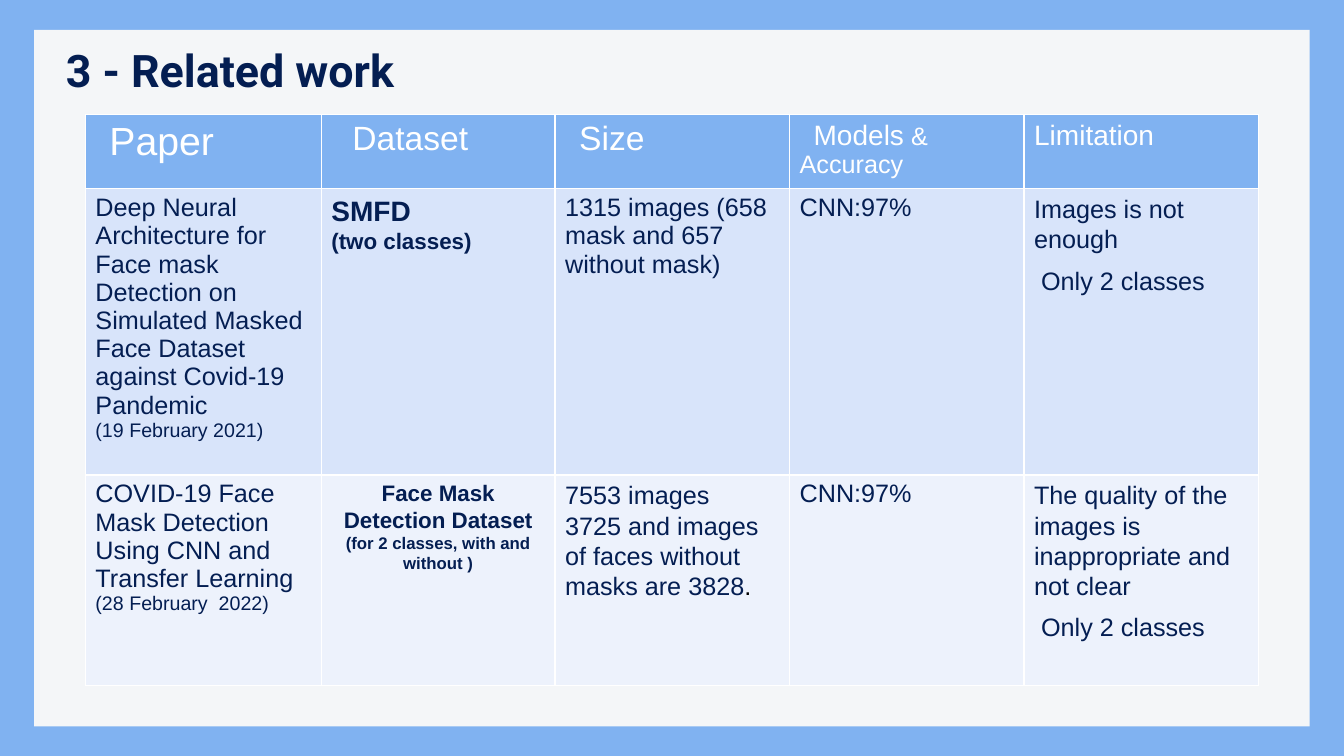
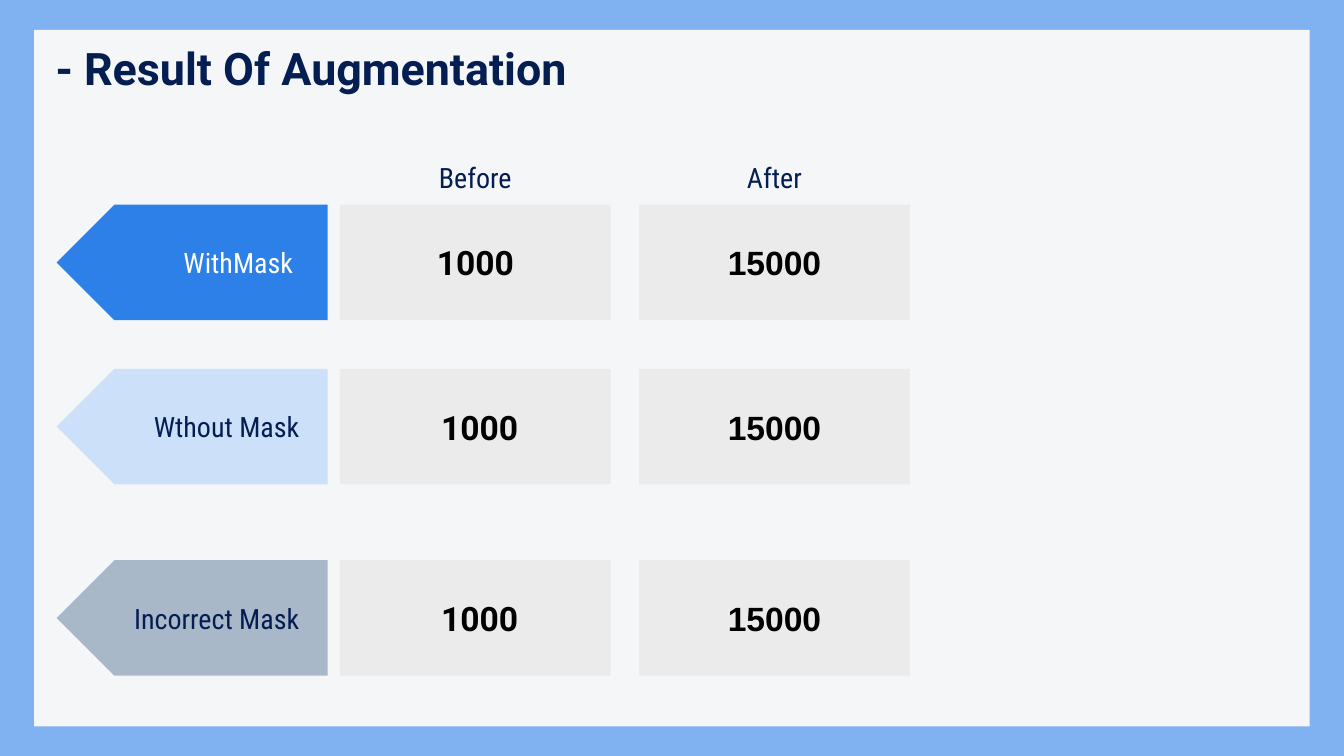
from dataclasses import dataclass
from typing import Optional

from lxml import etree
from pptx import Presentation
from pptx.dml.color import RGBColor
from pptx.enum.shapes import MSO_SHAPE as SHAPE
from pptx.enum.text import MSO_ANCHOR as ANCHOR, PP_ALIGN as ALIGN
from pptx.oxml.ns import qn
from pptx.util import Pt

SKY = RGBColor(0x80, 0xB2, 0xF1)
PANEL = RGBColor(0xF4, 0xF6, 0xF8)
NAVY = RGBColor(0x04, 0x1E, 0x52)
WHITE = RGBColor(0xFF, 0xFF, 0xFF)
BLACK = RGBColor(0x00, 0x00, 0x00)
BLUE = RGBColor(0x2D, 0x80, 0xE8)
PALE_BLUE = RGBColor(0xCC, 0xE0, 0xF9)
SLATE = RGBColor(0xA9, 0xB8, 0xC8)
GREY = RGBColor(0xEB, 0xEB, 0xEB)
ROW_FILLS = (SKY, RGBColor(0xD8, 0xE4, 0xFA), RGBColor(0xED, 0xF2, 0xFC))

BODY_FONT = "Arial"
TITLE_FONT = "Roboto"
LABEL_FONT = "Roboto Condensed"
INSET = 7.2

COL_WIDTHS = (168.5, 167, 167.5, 167.5, 167.5)
ROW_HEIGHTS = (50, 204.5, 150.5)

BOX_W, BOX_H = 193.5, 82.5
ARROW_LEFT, BEFORE_LEFT, AFTER_LEFT = 40.5, 242.8, 456.5


@dataclass
class Para:
    """A paragraph; tail is an optional (text, size, colour) run at its end."""
    text: str
    size: float = 18
    bold: bool = False
    color: RGBColor = NAVY
    font: str = BODY_FONT
    align: ALIGN = ALIGN.LEFT
    spacing: float = 1.0
    after: float = 0
    indent: float = 0
    tail: Optional[tuple] = None


def header(text, size, indent=0, tail=None):
    return [Para(text, size, color=WHITE, indent=indent, tail=tail)]


def limitation(text, indent=0):
    return Para(text, spacing=1.07, after=8, indent=indent)


def centered(text, size):
    return Para(text, size, bold=True, align=ALIGN.CENTER, spacing=1.07)


PAPERS = [
    [
        header("Paper", 28, 10),
        header("Dataset", 24, 15),
        header("Size", 24, 10),
        header("Models", 20, 10, (" & Accuracy", 18, WHITE)),
        header("Limitation", 20),
    ],
    [
        [Para("Deep Neural Architecture for Face mask Detection on Simulated "
              "Masked Face Dataset against Covid-19 Pandemic"),
         Para("(19 February 2021)", 14)],
        [Para("SMFD", 20, bold=True, spacing=1.07),
         Para("(two classes)", 16, bold=True, spacing=1.07)],
        [Para("1315 images (658 mask and 657 without mask)")],
        [Para("CNN:97%")],
        [limitation("Images is not enough"), limitation("Only 2 classes", 5)],
    ],
    [
        [Para("COVID-19 Face Mask Detection Using CNN and Transfer Learning"),
         Para("(28 February  2022)", 14)],
        [centered("Face Mask Detection Dataset", 16),
         centered("(for 2 classes, with and without )", 12)],
        [Para("7553 images", spacing=1.07),
         Para("3725 and images of faces without masks are 3828", spacing=1.07,
              tail=(".", 18, BLACK))],
        [Para("CNN:97%")],
        [limitation("The quality of the images is inappropriate and not clear"),
         limitation("Only 2 classes", 5)],
    ],
]

# label, arrow fill, label colour, top, right edge of label, shift of "before"
CLASSES = [
    ("WithMask", BLUE, WHITE, 146.2, 216.5, 0),
    ("Wthout Mask", PALE_BLUE, NAVY, 263.5, 221, 3),
    ("Incorrect Mask", SLATE, NAVY, 400.2, 221, 3),
]


def write(tf, paras):
    tf.word_wrap = True
    for i, para in enumerate(paras):
        p = tf.paragraphs[0] if i == 0 else tf.add_paragraph()
        p.alignment = para.align
        p.line_spacing = para.spacing
        p.space_after = Pt(para.after)
        if para.indent:
            p._p.get_or_add_pPr().set("indent", str(Pt(para.indent)))
        p.font.size = Pt(para.size)
        p.font.bold = para.bold
        p.font.name = para.font
        p.font.color.rgb = para.color
        p.add_run().text = para.text
        if para.tail:
            r = p.add_run()
            r.text, size, color = para.tail
            r.font.size = Pt(size)
            r.font.color.rgb = color


def set_insets(tf, left, top, right, bottom):
    tf.margin_left, tf.margin_top = Pt(left), Pt(top)
    tf.margin_right, tf.margin_bottom = Pt(right), Pt(bottom)


def add_text(shapes, left, top, width, height, para, inset=INSET,
             anchor=ANCHOR.MIDDLE):
    box = shapes.add_textbox(Pt(left), Pt(top), Pt(width), Pt(height))
    tf = box.text_frame
    set_insets(tf, inset, inset, inset, inset)
    tf.vertical_anchor = anchor
    write(tf, [para])


def add_block(shapes, kind, left, top, width, height, fill):
    sp = shapes.add_shape(kind, Pt(left), Pt(top), Pt(width), Pt(height))
    sp.shadow.inherit = False
    sp.fill.solid()
    sp.fill.fore_color.rgb = fill
    sp.line.fill.background()
    return sp


def add_slide(prs, title, left, top):
    """Add a slide with the shared frame, panel and title."""
    s = prs.slides.add_slide(prs.slide_layouts[6])
    add_block(s.shapes, SHAPE.RECTANGLE, 24.5, 21.3, 911, 497.5, PANEL)
    add_text(s.shapes, left, top, 800, 50,
             Para(title, 32, bold=True, font=TITLE_FONT), 0, ANCHOR.TOP)
    return s


def set_borders(cell, color, width):
    tcPr = cell._tc.get_or_add_tcPr()
    for edge in ("a:lnL", "a:lnR", "a:lnT", "a:lnB"):
        ln = etree.SubElement(tcPr, qn(edge), w=str(Pt(width)))
        fill = etree.SubElement(ln, qn("a:solidFill"))
        etree.SubElement(fill, qn("a:srgbClr"), val=str(color))


def add_paper_table(s, left, top):
    table = s.shapes.add_table(
        len(ROW_HEIGHTS), len(COL_WIDTHS), Pt(left), Pt(top),
        Pt(sum(COL_WIDTHS)), Pt(sum(ROW_HEIGHTS))).table
    table.first_row = table.horz_banding = False
    for column, width in zip(table.columns, COL_WIDTHS):
        column.width = Pt(width)
    for row, height, fill, contents in zip(
            table.rows, ROW_HEIGHTS, ROW_FILLS, PAPERS):
        row.height = Pt(height)
        for cell, paras in zip(row.cells, contents):
            set_borders(cell, WHITE, 1)
            cell.fill.solid()
            cell.fill.fore_color.rgb = fill
            write(cell.text_frame, paras)


def add_count(shapes, left, top, count, font, shift=0):
    """Add a grey box whose number sits `shift` points right of centre."""
    sp = add_block(shapes, SHAPE.RECTANGLE, left, top, BOX_W, BOX_H, GREY)
    tf = sp.text_frame
    set_insets(tf, INSET + 2 * shift, INSET, INSET, INSET)
    tf.vertical_anchor = ANCHOR.MIDDLE
    write(tf, [Para(count, 24, bold=True, color=BLACK, font=font,
                    align=ALIGN.CENTER)])


def add_class_row(s, label, fill, color, top, label_right, shift):
    shapes = s.shapes.add_group_shape().shapes
    arrow = add_block(shapes, SHAPE.PENTAGON, ARROW_LEFT, top, BOX_W, BOX_H,
                      fill)
    arrow._element.spPr.xfrm.set("flipH", "1")
    add_text(shapes, label_right - 150, top, 150, BOX_H,
             Para(label, 20, color=color, font=LABEL_FONT, align=ALIGN.RIGHT))
    add_count(shapes, BEFORE_LEFT, top, "1000", TITLE_FONT, shift)
    add_count(shapes, AFTER_LEFT, top, "15000", BODY_FONT)


def main():
    prs = Presentation()
    prs.slide_width, prs.slide_height = Pt(960), Pt(540)
    background = prs.slide_master.background.fill
    background.solid()
    background.fore_color.rgb = SKY

    s = add_slide(prs, "3 - Related work", 47, 30.2)
    add_paper_table(s, 61, 82)

    s = add_slide(prs, "- Result Of Augmentation", 39.7, 28.8)
    for left, heading in ((BEFORE_LEFT, "Before"), (AFTER_LEFT, "After")):
        add_text(s.shapes, left, 113, BOX_W, 28,
                 Para(heading, 20, font=LABEL_FONT, align=ALIGN.CENTER), 0)
    for class_row in CLASSES:
        add_class_row(s, *class_row)

    prs.save("out.pptx")


if __name__ == "__main__":
    main()
